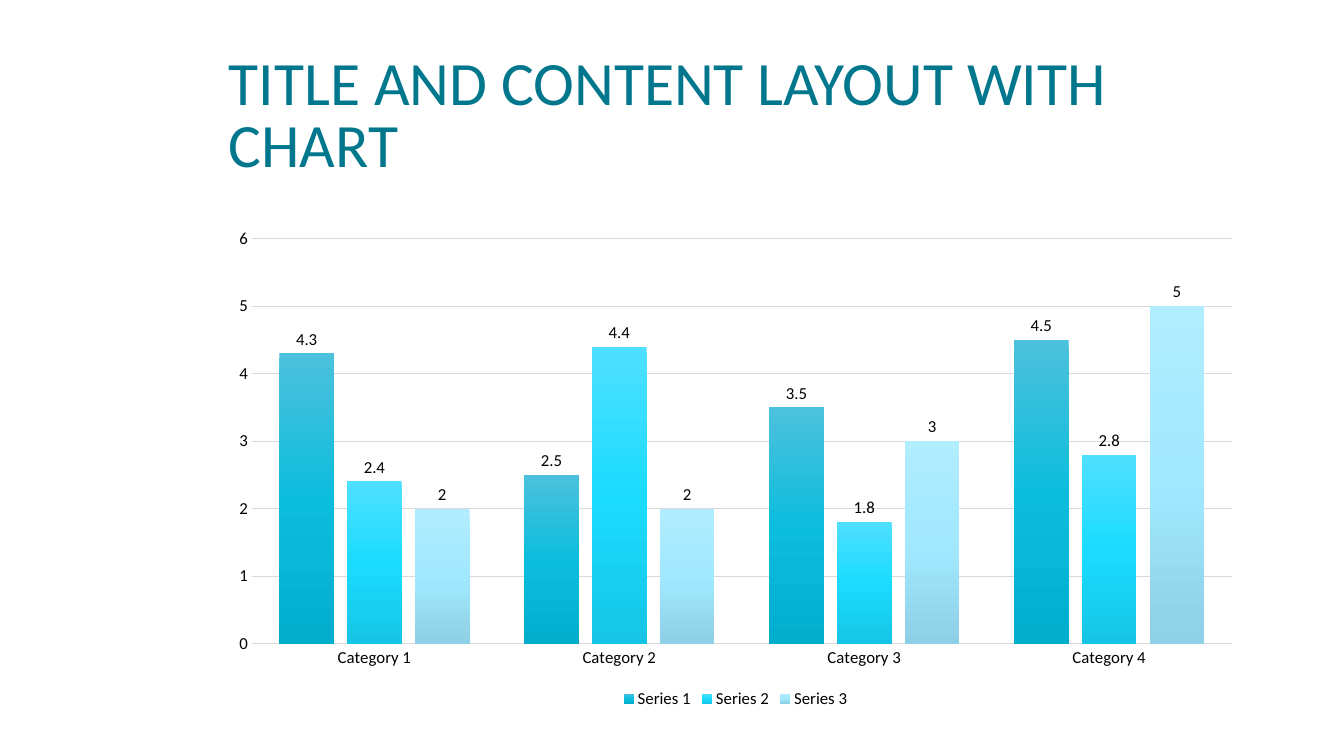
from copy import deepcopy

from pptx import Presentation
from pptx.chart.data import CategoryChartData
from pptx.dml.color import RGBColor
from pptx.enum.chart import XL_CHART_TYPE, XL_LABEL_POSITION, XL_LEGEND_POSITION, XL_TICK_MARK
from pptx.enum.text import MSO_ANCHOR
from pptx.oxml.ns import qn
from pptx.util import Inches, Pt

TITLE = "TITLE AND CONTENT LAYOUT WITH CHART"
CATEGORIES = ["Category 1", "Category 2", "Category 3", "Category 4"]
SERIES = {
    "Series 1": (4.3, 2.5, 3.5, 4.5),
    "Series 2": (2.4, 4.4, 1.8, 2.8),
    "Series 3": (2, 2, 3, 5),
}
GRADIENTS = [
    (RGBColor(0x4C, 0xC1, 0xDD), RGBColor(0x0D, 0xBD, 0xDD), RGBColor(0x03, 0xAE, 0xCD)),
    (RGBColor(0x4F, 0xDF, 0xFF), RGBColor(0x1B, 0xDC, 0xFF), RGBColor(0x16, 0xC5, 0xE5)),
    (RGBColor(0xB1, 0xEC, 0xFF), RGBColor(0xA2, 0xE9, 0xFF), RGBColor(0x8E, 0xD0, 0xE5)),
]
TEAL = RGBColor(0x00, 0x77, 0x8D)
BLACK = RGBColor(0x00, 0x00, 0x00)
DARK_GRAY = RGBColor(0x40, 0x40, 0x40)
LIGHT_GRAY = RGBColor(0xD9, 0xD9, 0xD9)
FONT = "Calibri"
NO_TICK = XL_TICK_MARK.NONE
OUTSIDE_END = XL_LABEL_POSITION.OUTSIDE_END
LEGEND_BOTTOM = XL_LEGEND_POSITION.BOTTOM
CLUSTERED = XL_CHART_TYPE.COLUMN_CLUSTERED
BOTTOM = MSO_ANCHOR.BOTTOM

WIDTH, HEIGHT = 13.33, 7.5
LEFT, CONTENT_WIDTH = 2.17, 10.25
TITLE_TOP, TITLE_HEIGHT = 0.42, 1.42
CHART_TOP, CHART_HEIGHT = 2.17, 4.9


def style_font(font, size=12, color=BLACK):
    font.name = FONT
    font.size = Pt(size)
    font.color.rgb = color


def add_text(slide, text, box, size, color, spacing):
    frame = slide.shapes.add_textbox(*map(Inches, box)).text_frame
    frame.word_wrap = True
    frame.vertical_anchor = BOTTOM
    paragraph = frame.paragraphs[0]
    paragraph.line_spacing = spacing
    run = paragraph.add_run()
    run.text = text
    style_font(run.font, size, color)


def style_line(line):
    line.color.rgb = LIGHT_GRAY
    line.width = Pt(0.75)


def style_axis(axis):
    axis.major_tick_mark = NO_TICK
    axis.minor_tick_mark = NO_TICK
    style_font(axis.tick_labels.font)


def style_series(series, colors):
    fill = series.format.fill
    fill.gradient()
    fill.gradient_angle = 270
    stop_list = series._element.find(".//" + qn("a:gsLst"))
    stop_list.insert(1, deepcopy(stop_list[0]))
    for stop, position, color in zip(fill.gradient_stops, (0, 0.5, 1), colors):
        stop.position = position
        stop.color.rgb = color
    labels = series.data_labels
    labels.show_value = True
    labels.position = OUTSIDE_END
    style_font(labels.font)


def add_column_chart(slide):
    data = CategoryChartData()
    data.categories = CATEGORIES
    for name, values in SERIES.items():
        data.add_series(name, values)
    box = map(Inches, (LEFT, CHART_TOP, CONTENT_WIDTH, CHART_HEIGHT))
    chart = slide.shapes.add_chart(CLUSTERED, *box, data).chart
    chart.has_title = False
    style_font(chart.font, 10, DARK_GRAY)

    chart.has_legend = True
    chart.legend.position = LEGEND_BOTTOM
    chart.legend.include_in_layout = False
    style_font(chart.legend.font)

    style_axis(chart.category_axis)
    style_line(chart.category_axis.format.line)
    value_axis = chart.value_axis
    style_axis(value_axis)
    value_axis.format.line.fill.background()
    value_axis.has_major_gridlines = True
    style_line(value_axis.major_gridlines.format.line)
    value_axis.minimum_scale, value_axis.maximum_scale, value_axis.major_unit = 0, 6, 1

    plot = chart.plots[0]
    plot.gap_width = 100
    plot.overlap = -24
    plot.vary_by_categories = False
    for series, colors in zip(plot.series, GRADIENTS):
        style_series(series, colors)


def main():
    deck = Presentation()
    deck.slide_width, deck.slide_height = Inches(WIDTH), Inches(HEIGHT)
    slide = deck.slides.add_slide(deck.slide_layouts[6])
    title_box = (LEFT, TITLE_TOP, CONTENT_WIDTH, TITLE_HEIGHT)
    add_text(slide, TITLE, title_box, size=44, color=TEAL, spacing=0.85)
    add_column_chart(slide)
    deck.save("out.pptx")


if __name__ == "__main__":
    main()
